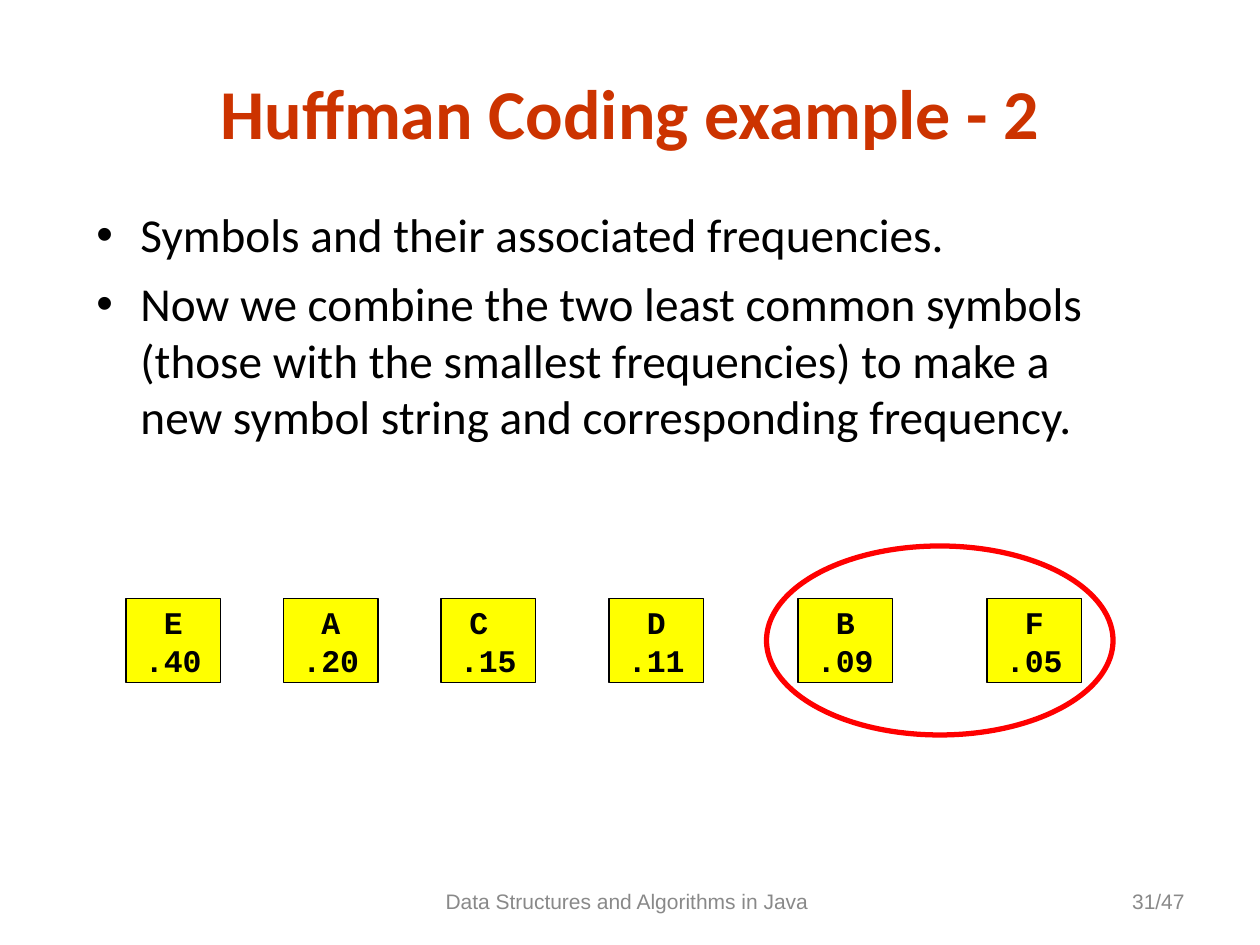
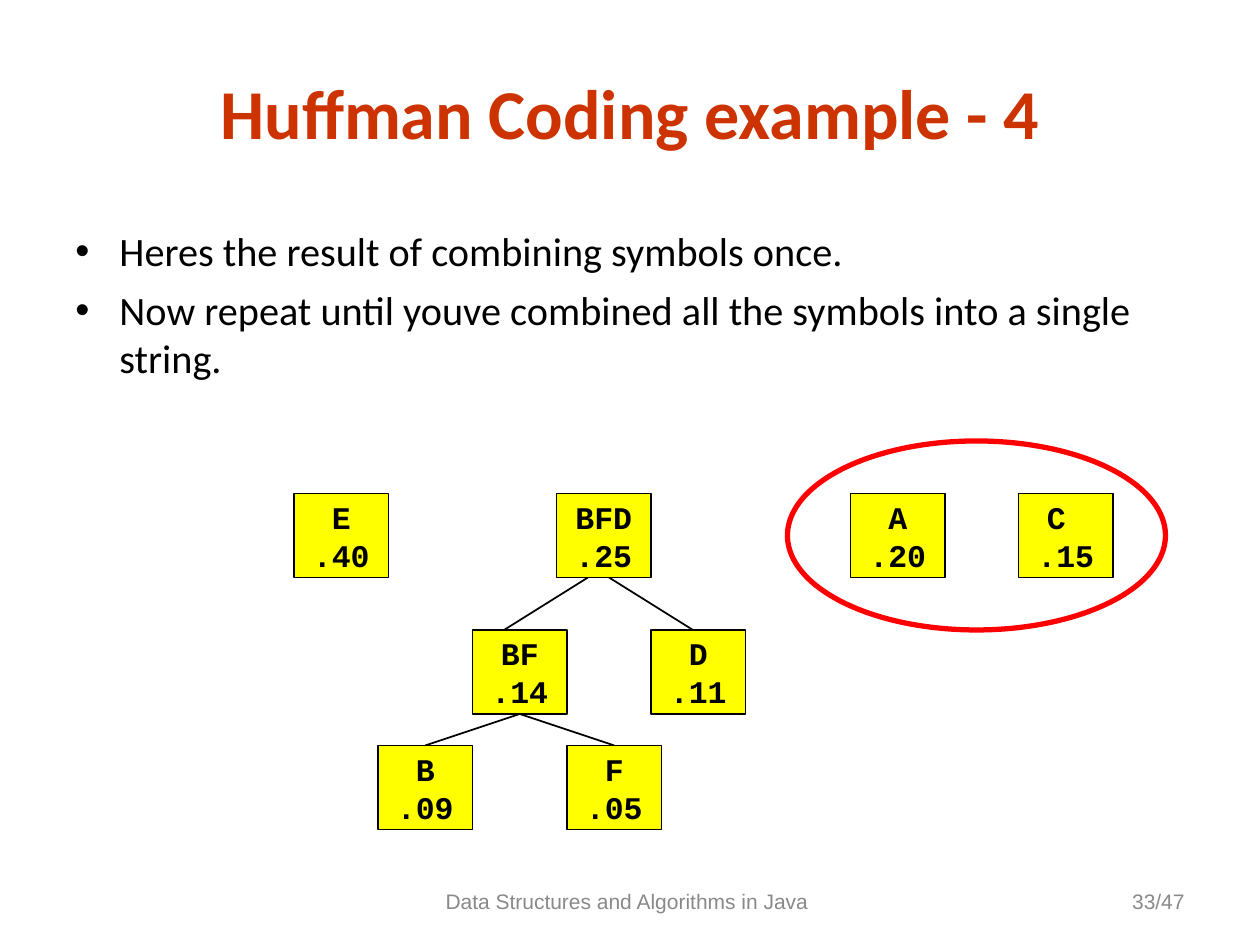
from lxml import etree
from pptx import Presentation
from pptx.dml.color import RGBColor
from pptx.enum import shapes, text
from pptx.oxml import ns
from pptx.util import Pt

BLACK, RED, YELLOW = "000000", "FF0000", "FFFF00"
TITLE_COLOR, FOOTER_COLOR = "CC3300", "898989"
NODE_WIDTH, NODE_HEIGHT = 54, 48
HANGING_INDENT = 25.2
FREQUENCIES = {"E": ".40", "A": ".20", "C ": ".15", "D": ".11", "B": ".09",
               "F": ".05", "BF": ".14", "BFD": ".25"}

# Each node is (symbol, left, top); each edge is (x1, y1, x2, y2).
SLIDES = [
    {"title": "Huffman Coding example - 2", "number": "31/47",
     "body": (48, 114, 612, 144), "body_size": 27,
     "bullets": ["Symbols and their associated frequencies.",
                 "Now we combine the two least common symbols (those with the smallest "
                 "frequencies) to make a new symbol string and corresponding frequency."],
     "nodes": [("E", 72, 342), ("A", 162, 342), ("C ", 252, 342),
               ("D", 348, 342), ("B", 456, 342), ("F", 564, 342)],
     "edges": [], "tree": [], "highlight": (438, 312, 198, 108)},
    {"title": "Huffman Coding example - 4", "number": "33/47",
     "body": (36, 126, 648, 96), "body_size": 23,
     "bullets": ["Heres the result of combining symbols once.",
                 "Now repeat until youve combined all the symbols into a single string."],
     "nodes": [("E", 168, 282), ("A", 486, 282), ("C ", 582, 282)],
     "edges": [(297, 408, 243, 426), (297, 408, 351, 426),
               (348, 330, 396, 360), (336, 330, 288, 360)],
     "tree": [("BFD", 318, 282), ("BF", 270, 360), ("D", 372, 360),
              ("B", 216, 426), ("F", 324, 426)],
     "highlight": (450, 252, 216, 108)},
]


def color(hex_string):
    return RGBColor.from_string(hex_string)


def write(shape, lines, font_name, size, hex_color, alignment, bold=False):
    """Fill a shape with one styled paragraph per line."""
    frame = shape.text_frame
    frame.text = "\n".join(lines)
    for paragraph in frame.paragraphs:
        paragraph.alignment = alignment
        paragraph.font.name = font_name
        paragraph.font.size = Pt(size)
        paragraph.font.bold = bold
        paragraph.font.color.rgb = color(hex_color)
    return frame


presentation = Presentation()
presentation.slide_width, presentation.slide_height = Pt(720), Pt(540)
CENTER, LEFT, RIGHT = text.PP_ALIGN.CENTER, text.PP_ALIGN.LEFT, text.PP_ALIGN.RIGHT

for content in SLIDES:
    slide = presentation.slides.add_slide(presentation.slide_layouts[6])

    # Title and footers
    for place, line, font_name, size, hex_color, alignment, bold in [
        ((54, 36, 612, 55.5), content["title"], "Calibri", 40, TITLE_COLOR, CENTER, True),
        ((246, 500.5, 228, 28.75), "Data Structures and Algorithms in Java ",
         "Arial", 12, FOOTER_COLOR, CENTER, False),
        ((516, 500.5, 168, 28.75), content["number"],
         "Arial", 12, FOOTER_COLOR, RIGHT, False),
    ]:
        box = slide.shapes.add_textbox(*map(Pt, place))
        frame = write(box, [line], font_name, size, hex_color, alignment, bold)
        frame.word_wrap = True
        frame.vertical_anchor = text.MSO_ANCHOR.MIDDLE

    # Bulleted body
    body = slide.shapes.add_textbox(*map(Pt, content["body"]))
    body.text_frame.word_wrap = True
    body.text_frame.text = "\n".join(content["bullets"])
    for paragraph in body.text_frame.paragraphs:
        properties = paragraph._p.get_or_add_pPr()
        properties.set("marL", str(Pt(HANGING_INDENT)))
        properties.set("indent", str(-Pt(HANGING_INDENT)))
        bullet_color = etree.SubElement(properties, ns.qn("a:buClr"))
        etree.SubElement(bullet_color, ns.qn("a:srgbClr"), val=BLACK)
        etree.SubElement(properties, ns.qn("a:buFont"), typeface="Arial")
        etree.SubElement(properties, ns.qn("a:buChar"), char="•")
        paragraph.alignment = LEFT
        paragraph.font.name = "Calibri"
        paragraph.font.size = Pt(content["body_size"])
        paragraph.font.color.rgb = color(BLACK)
    for paragraph in body.text_frame.paragraphs[1:]:
        paragraph.space_before = Pt(content["body_size"] / 4)

    # Single symbols on the slide, combined symbols in a grouped tree
    containers = [(slide.shapes, content["nodes"])]
    if content["tree"]:
        tree = slide.shapes.add_group_shape().shapes
        containers.append((tree, content["tree"]))
        for edge in content["edges"]:
            branch = tree.add_connector(shapes.MSO_CONNECTOR.STRAIGHT, *map(Pt, edge))
            branch.line.color.rgb = color(BLACK)
            branch.line.width = Pt(1)
            etree.SubElement(branch._element.spPr, ns.qn("a:effectLst"))
    for container, nodes in containers:
        for symbol, left, top in nodes:
            node = container.add_shape(shapes.MSO_SHAPE.RECTANGLE, Pt(left), Pt(top),
                                       Pt(NODE_WIDTH), Pt(NODE_HEIGHT))
            node.shadow.inherit = False
            node.fill.solid()
            node.fill.fore_color.rgb = color(YELLOW)
            node.line.color.rgb = color(BLACK)
            node.line.width = Pt(1)
            frame = write(node, [symbol, FREQUENCIES[symbol]],
                          "Courier New", 18, BLACK, CENTER, True)
            frame.word_wrap = False
            frame.vertical_anchor = text.MSO_ANCHOR.MIDDLE

    # Ring around the next pair to combine
    ring = slide.shapes.add_shape(shapes.MSO_SHAPE.OVAL, *map(Pt, content["highlight"]))
    ring.shadow.inherit = False
    ring.fill.background()
    ring.line.color.rgb = color(RED)
    ring.line.width = Pt(3)

presentation.save("out.pptx")
